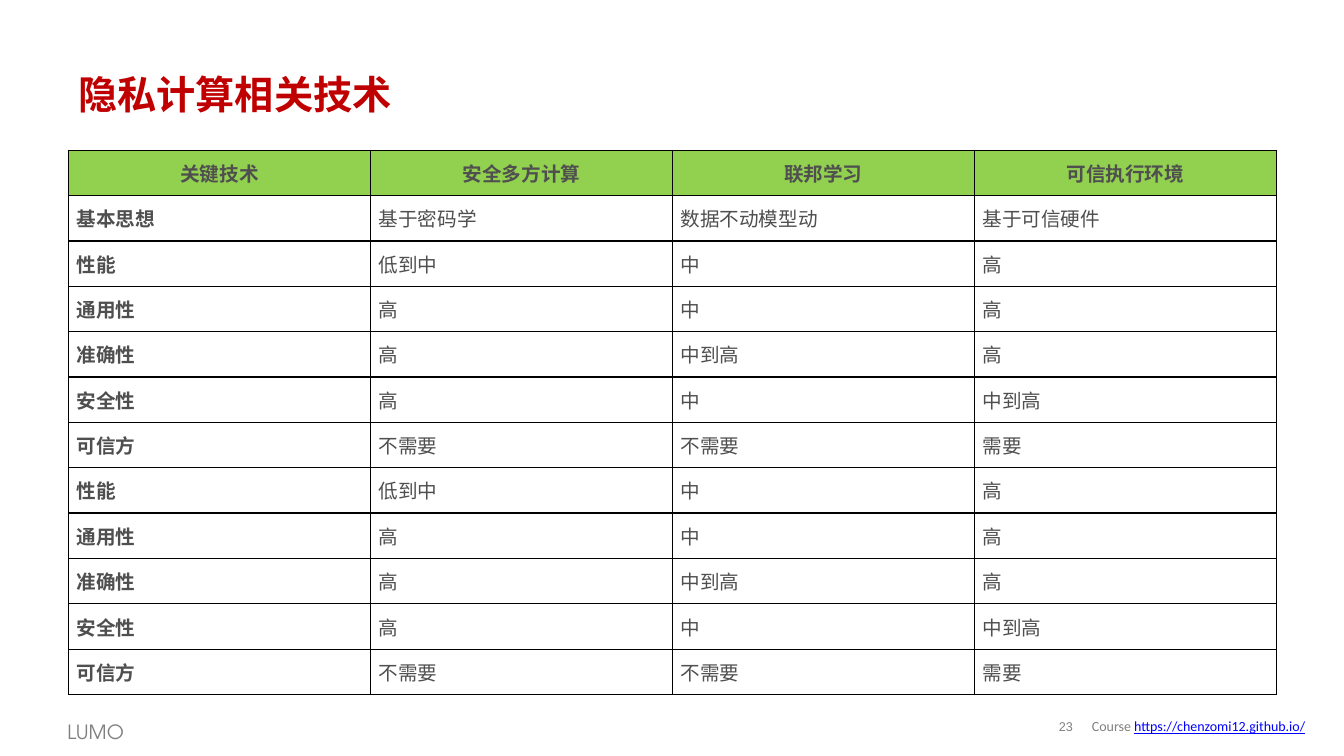
from lxml import etree
from pptx import Presentation
from pptx import util as u
from pptx.dml.color import RGBColor
from pptx.enum import text as t
from pptx.oxml.ns import qn

TITLE = "隐私计算相关技术"
HEADER = ("关键技术", "安全多方计算", "联邦学习", "可信执行环境")
IDEA = ("基本思想", "基于密码学", "数据不动模型动", "基于可信硬件")
RATINGS = [
    ("性能", "低到中", "中", "高"),
    ("通用性", "高", "中", "高"),
    ("准确性", "高", "中到高", "高"),
    ("安全性", "高", "中", "中到高"),
    ("可信方", "不需要", "不需要", "需要"),
]
ROWS = [HEADER, IDEA] + RATINGS * 2
AUTHOR = "LUMO"
PAGE = "23"
COURSE = ("Course ", "https://chenzomi12.github.io/")

RED, GREEN, GREY, DARK, BLACK, BLUE = (
    "C00000", "92D050", "808080", "4F4F4F", "000000", "0000FF")
DISPLAY_FONT = "TeX Gyre Adventor"
WIDTH, HEIGHT = 13.34, 7.5
MARGIN, TABLE_TOP = 0.68, 1.49
CONTENT_WIDTH = 11.99
ROW_HEIGHT = 0.45
CELL_INSET = 0.08


def color(value):
    return RGBColor.from_string(value)


def style(font, name, size, value, bold=False):
    font.name, font.size, font.bold = name, u.Pt(size), bold
    font.color.rgb = color(value)


def add_text(slide, box, content, font, anchor=t.MSO_ANCHOR.MIDDLE):
    shape = slide.shapes.add_textbox(*map(u.Inches, box))
    frame = shape.text_frame
    frame.word_wrap = True
    frame.vertical_anchor = anchor
    paragraph = frame.paragraphs[0]
    for part in content:
        paragraph.add_run().text = part
    style(paragraph.font, *font)
    return frame, paragraph


def add_borders(cell):
    properties = cell._tc.get_or_add_tcPr()
    for position, side in enumerate(("lnL", "lnR", "lnT", "lnB")):
        line = etree.Element(qn(f"a:{side}"), w=str(u.Pt(1)))
        fill = etree.SubElement(line, qn("a:solidFill"))
        etree.SubElement(fill, qn("a:srgbClr"), val=BLACK)
        properties.insert(position, line)


def fill_cell(cell, content, is_header, is_label):
    cell.text = content
    cell.vertical_anchor = t.MSO_ANCHOR.MIDDLE
    cell.margin_left = cell.margin_right = u.Inches(CELL_INSET)
    cell.margin_top = cell.margin_bottom = u.Inches(CELL_INSET)
    paragraph = cell.text_frame.paragraphs[0]
    style(paragraph.font, "Arial", 14, DARK, is_header or is_label)
    if is_header:
        paragraph.alignment = t.PP_ALIGN.CENTER
        cell.fill.solid()
        cell.fill.fore_color.rgb = color(GREEN)
    else:
        cell.fill.background()
    add_borders(cell)


def add_comparison(slide):
    table = slide.shapes.add_table(
        len(ROWS), len(HEADER), u.Inches(MARGIN), u.Inches(TABLE_TOP),
        u.Inches(CONTENT_WIDTH), u.Inches(ROW_HEIGHT * len(ROWS))).table
    table.horz_banding = False
    for row, values in enumerate(ROWS):
        table.rows[row].height = u.Inches(ROW_HEIGHT)
        for column, value in enumerate(values):
            fill_cell(table.cell(row, column), value, row == 0, column == 0)


def add_footer(slide):
    _, author = add_text(slide, (0.57, 7.05, 0.8, 0.36), [AUTHOR],
                         (DISPLAY_FONT, 14, GREY), t.MSO_ANCHOR.TOP)
    author.line_spacing = 1.2

    frame, page = add_text(slide, (10.4, 7.06, 0.36, 0.31), [PAGE],
                           ("Arial", 9, GREY))
    frame.margin_left = frame.margin_right = 0
    frame.margin_top = frame.margin_bottom = 0
    page.alignment = t.PP_ALIGN.CENTER
    page.line_spacing = 0.85

    _, course = add_text(slide, (10.74, 7.06, 2.46, 0.29), COURSE,
                         ("Calibri", 10, GREY))
    address = course.runs[1].font
    address.color.rgb = color(BLUE)
    address.underline = True


def main():
    presentation = Presentation()
    presentation.slide_width = u.Inches(WIDTH)
    presentation.slide_height = u.Inches(HEIGHT)
    slide = presentation.slides.add_slide(presentation.slide_layouts[6])
    add_text(slide, (MARGIN, 0.61, CONTENT_WIDTH, 0.64), [TITLE],
             (DISPLAY_FONT, 28, RED, True))
    add_comparison(slide)
    add_footer(slide)
    presentation.save("out.pptx")


if __name__ == "__main__":
    main()
